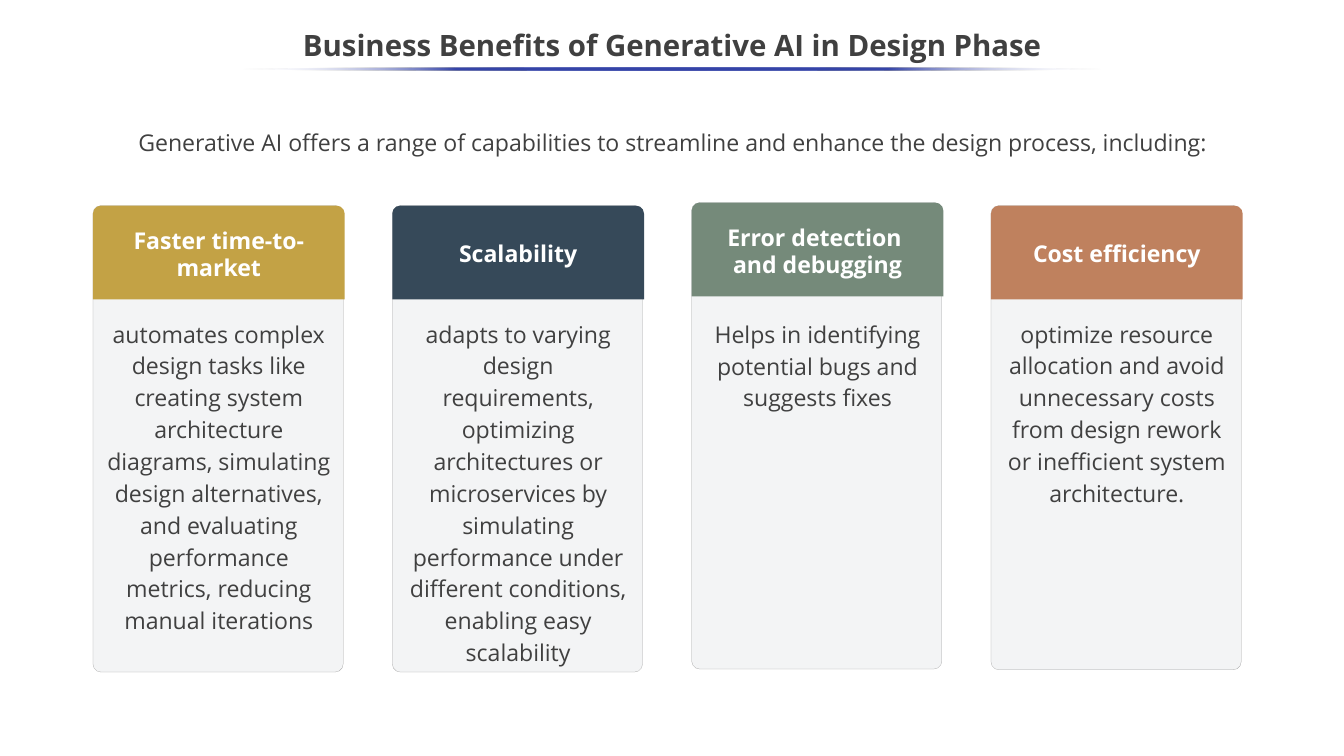
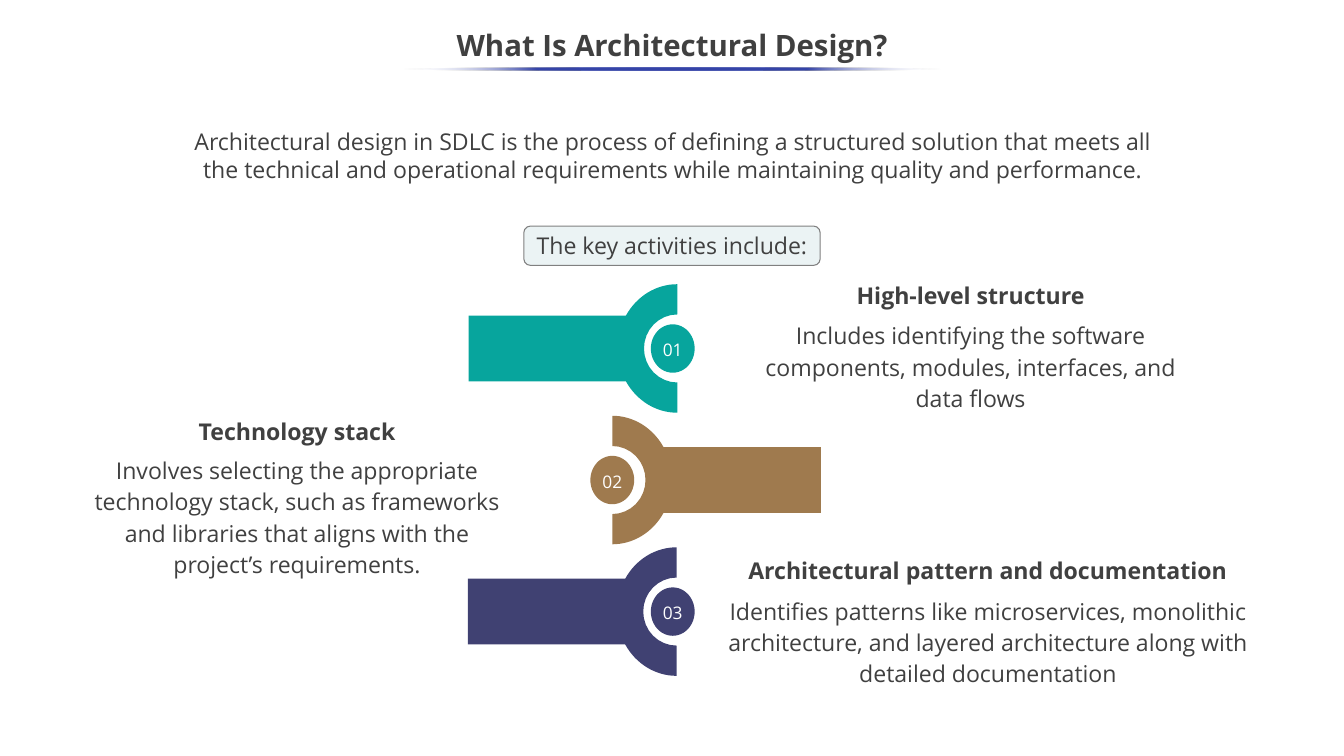
import math
import pptx
import pptx.util
import pptx.dml.color
import pptx.enum.shapes
import pptx.enum.text
import pptx.oxml
import pptx.oxml.ns

Inches = pptx.util.Inches
Pt = pptx.util.Pt
Color = pptx.dml.color.RGBColor
Shape = pptx.enum.shapes.MSO_SHAPE
Anchor = pptx.enum.text.MSO_ANCHOR
qn = pptx.oxml.ns.qn

INK = Color(0x40, 0x40, 0x40)
WHITE = Color(0xFF, 0xFF, 0xFF)
BLUE = Color(0x36, 0x45, 0xA9)
PANEL = Color(0xF3, 0xF4, 0xF5)
EDGE = Color(0xA6, 0xA6, 0xA6)
MIST = Color(0xEB, 0xF3, 0xF4)
GREY = Color(0x80, 0x80, 0x80)
GOLD = Color(0xC3, 0xA2, 0x45)
NAVY = Color(0x36, 0x49, 0x59)
SAGE = Color(0x75, 0x8A, 0x7A)
CLAY = Color(0xBF, 0x81, 0x5E)
TEAL = Color(0x07, 0xA5, 0x9D)
BROWN = Color(0x9F, 0x7A, 0x4E)
INDIGO = Color(0x40, 0x41, 0x72)

FONT = "Open Sans"
WIDE, HIGH = 17.78, 10
PAD = (0.1, 0.05)

# heading, body, fill, top, height
CARDS = [
    ("Faster time-to-market",
     "automates complex design tasks like creating system architecture diagrams, "
     "simulating design alternatives, and evaluating performance metrics, "
     "reducing manual iterations", GOLD, 2.72, 6.17),
    ("Scalability",
     "adapts to varying design requirements, optimizing architectures or "
     "microservices by simulating performance under different conditions, "
     "enabling easy scalability", NAVY, 2.72, 6.17),
    ("Error detection \nand debugging",
     "Helps in identifying potential bugs and suggests fixes", SAGE, 2.68, 6.17),
    ("Cost efficiency",
     "optimize resource allocation and avoid unnecessary costs from design "
     "rework or inefficient system architecture.", CLAY, 2.72, 6.14),
]

# heading, body, fill, hub x, badge x, side, heading box, body box
STEPS = [
    ("High-level structure",
     "Includes identifying the software components, modules, interfaces, and data flows",
     TEAL, 8.96, 8.9, -1, (10.82, 3.63, 4.04, 0.49), (9.73, 4.15, 6.22, 1.35)),
    ("Technology stack",
     "Involves selecting the appropriate technology stack, such as frameworks "
     "and libraries that aligns with the project’s requirements.",
     BROWN, 8.1, 8.1, 1, (2.4, 5.44, 3.06, 0.49), (0.93, 5.93, 6, 1.77)),
    ("Architectural pattern and documentation",
     "Identifies patterns like microservices, monolithic architecture, and "
     "layered architecture along with detailed documentation",
     INDIGO, 8.95, 8.9, -1, (9.71, 7.27, 6.71, 0.49), (9.49, 7.79, 7.16, 1.35)),
]


def write(shape, text, size=22, bold=False, color=INK, lead=1.0,
          anchor=Anchor.TOP, pad=PAD, wrap=True):
    frame = shape.text_frame
    frame.text = text
    frame.word_wrap = wrap
    frame.vertical_anchor = anchor
    frame.margin_left = frame.margin_right = Inches(pad[0])
    frame.margin_top = frame.margin_bottom = Inches(pad[1])
    for para in frame.paragraphs:
        para.alignment = pptx.enum.text.PP_ALIGN.CENTER
        para.line_spacing = lead
        for run in para.runs:
            run.font.name = FONT
            run.font.size = Pt(size)
            run.font.bold = bold
            run.font.color.rgb = color


def label(slide, box, text, **style):
    write(slide.shapes.add_textbox(*map(Inches, box)), text, **style)


def paint(shape, fill, line=None, width=1):
    shape.shadow.inherit = False
    shape.fill.solid()
    shape.fill.fore_color.rgb = fill
    if line is None:
        shape.line.fill.background()
    else:
        shape.line.color.rgb = line
        shape.line.width = Pt(width)
    return shape


def block(slide, kind, box, fill, line=None, width=1):
    return paint(slide.shapes.add_shape(kind, *map(Inches, box)), fill, line, width)


def fade(shape):
    """Fill with blue that turns clear at both ends."""
    shape.fill.gradient()
    shape.fill.gradient_angle = 180
    stops = shape._element.spPr.find(qn("a:gradFill")).find(qn("a:gsLst"))
    for stop in list(stops):
        stops.remove(stop)
    for place in (0, 25, 50, 75, 100):
        end = place in (0, 100)
        alpha = '<a:alpha val="0"/>' if end else ""
        stops.append(pptx.oxml.parse_xml(
            f'<a:gs {pptx.oxml.ns.nsdecls("a")} pos="{place * 1000}">'
            f'<a:srgbClr val="{WHITE if end else BLUE}">{alpha}</a:srgbClr></a:gs>'))


def header(slide, text, width):
    label(slide, (0, 0.25, WIDE, 0.75), text, size=28, bold=True, lead=0.9,
          anchor=Anchor.MIDDLE)
    rule = block(slide, Shape.OVAL, ((WIDE - width) / 2, 0.89, width, 0.04), BLUE)
    fade(rule)


def card(slide, box, title, body, fill):
    left, top, wide, high = box
    panel = block(slide, Shape.ROUNDED_RECTANGLE, box, PANEL, EDGE, 0.25)
    panel.adjustments[0] = 0.032
    cap = block(slide, Shape.ROUND_2_SAME_RECTANGLE, (left, top, wide + 0.02, 1.24), fill)
    cap.adjustments[0] = 0.086
    write(cap, title, bold=True, color=WHITE, anchor=Anchor.MIDDLE, pad=(0.04, 0.04))
    label(slide, (left + 0.08, 4.13, 3.17, top + high - 4.13), body, lead=1.15)


def arm(slide, hub, mid, side, fill):
    """A half ring round the hub with a bar that runs out to one side."""
    reach, half = 2.76, 0.435
    outer, inner = (0.79, 0.85), (0.44, 0.45)

    def arc(radii, start, end, count=16):
        turns = [start + (end - start) * i / count for i in range(count + 1)]
        return [(radii[0] * math.cos(t), radii[1] * math.sin(t)) for t in turns]

    top = math.pi / 2
    join = math.asin(half / outer[1])
    points = (arc(outer, -top, -join) + [(reach, -half), (reach, half)]
              + arc(outer, join, top) + arc(inner, top, -top))
    spots = [(Inches(hub + side * x), Inches(mid + y)) for x, y in points]
    build = slide.shapes.build_freeform(*spots[0])
    build.add_line_segments(spots[1:], close=True)
    paint(build.convert_to_shape(), fill)


def badge(slide, x, y, text, fill):
    wide, high = 0.58, 0.64
    disc = block(slide, Shape.OVAL, (x - wide / 2, y - high / 2, wide, high), fill)
    write(disc, text, size=16.5, color=WHITE, lead=1.13, anchor=Anchor.MIDDLE,
          pad=(0, 0), wrap=False)


def benefits(slide):
    header(slide, "Business Benefits of Generative AI in Design Phase", 11.39)
    label(slide, (1.41, 1.65, 14.98, 0.99),
          "Generative AI offers a range of capabilities to streamline and enhance "
          "the design process, including:", lead=1.15, pad=(0.1, 0))
    for i, (title, body, fill, top, high) in enumerate(CARDS):
        card(slide, (1.23 + i * 3.96, top, 3.31, high), title, body, fill)


def design(slide):
    header(slide, "What Is Architectural Design?", 7.13)
    label(slide, (2.43, 1.64, 12.94, 0.84),
          "Architectural design in SDLC is the process of defining a structured "
          "solution that meets all the technical and operational requirements "
          "while maintaining quality and performance.")
    for i, (title, body, fill, hub, dot, side, head, text) in enumerate(STEPS):
        mid = 4.61 + i * 1.74
        arm(slide, hub, mid, side, fill)
        badge(slide, dot, mid, f"{i + 1:02}", fill)
        label(slide, head, title, bold=True, lead=1.13, anchor=Anchor.MIDDLE)
        label(slide, text, body, lead=1.13, pad=(0.12, 0.06))
    key = block(slide, Shape.ROUNDED_RECTANGLE, (6.93, 2.99, 3.92, 0.52), MIST, GREY)
    write(key, "The key activities include:", anchor=Anchor.MIDDLE)


def main():
    deck = pptx.Presentation()
    deck.slide_width, deck.slide_height = Inches(WIDE), Inches(HIGH)
    for draw in (benefits, design):
        draw(deck.slides.add_slide(deck.slide_layouts[6]))
    deck.save("out.pptx")


if __name__ == "__main__":
    main()
